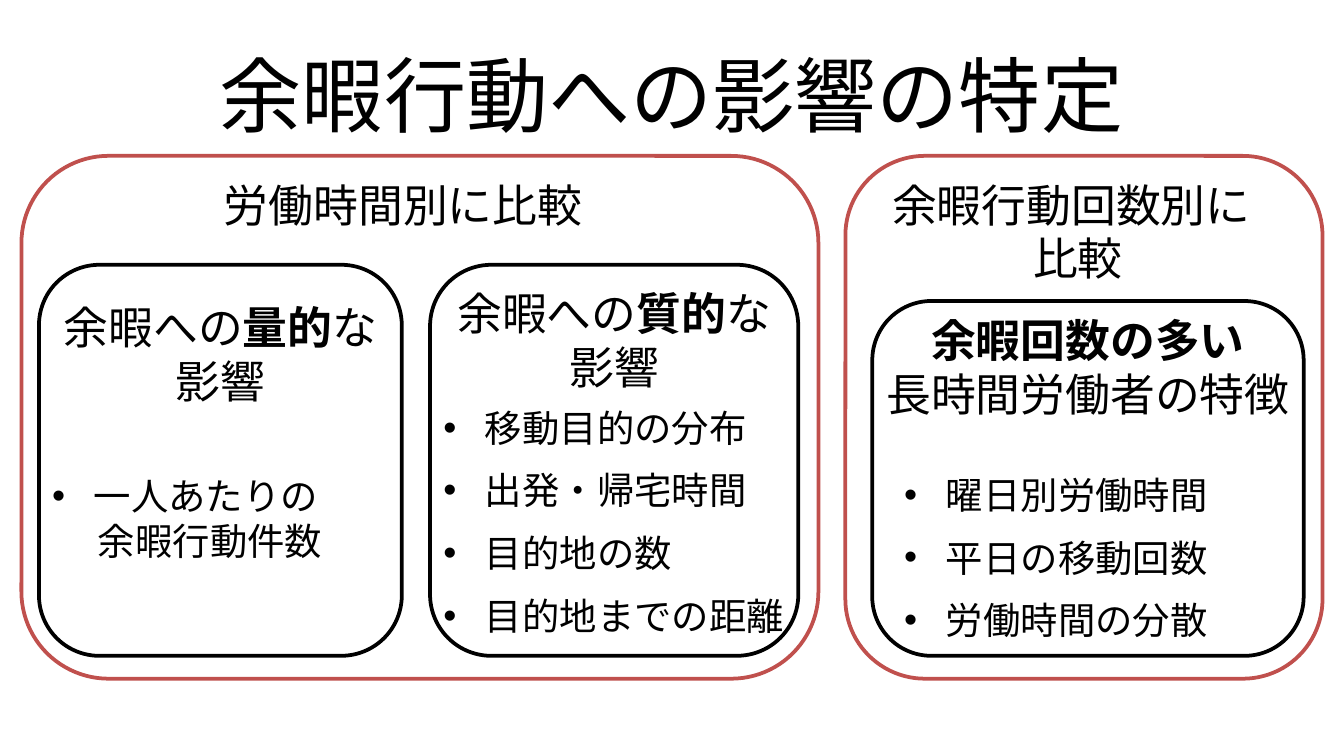
from lxml.etree import SubElement
from pptx import Presentation
from pptx.dml.color import RGBColor
from pptx.enum.lang import MSO_LANGUAGE_ID
from pptx.enum.shapes import MSO_SHAPE
from pptx.enum.text import MSO_ANCHOR, PP_ALIGN
from pptx.oxml.ns import qn
from pptx.util import Inches, Pt

BLACK = RGBColor(0x00, 0x00, 0x00)
WHITE = RGBColor(0xFF, 0xFF, 0xFF)
RED = RGBColor(0xC0, 0x50, 0x4D)
FONT = "Calibri"
BULLET_INDENT = 0.31
CENTER, LEFT = PP_ALIGN.CENTER, PP_ALIGN.LEFT


def add_frame(slide, box, line_color, fill_color=None):
    """Rounded outline, optionally filled."""
    shape = slide.shapes.add_shape(MSO_SHAPE.ROUNDED_RECTANGLE, *map(Inches, box))
    shape.shadow.inherit = False
    shape.line.color.rgb = line_color
    shape.line.width = Pt(2)
    if fill_color is None:
        shape.fill.background()
    else:
        shape.fill.solid()
        shape.fill.fore_color.rgb = fill_color


def format_run(run, size, bold):
    run.font.name = FONT
    run.font.size = Pt(size)
    run.font.bold = bold
    run.font.color.rgb = BLACK
    run.font.language_id = MSO_LANGUAGE_ID.JAPANESE
    # East Asian characters use the same typeface
    SubElement(run._r.get_or_add_rPr(), qn("a:ea")).set("typeface", FONT)


def add_text(slide, box, lines, size, alignments=None):
    """Text box; each line is a list of (text, bold) runs."""
    text_frame = slide.shapes.add_textbox(*map(Inches, box)).text_frame
    text_frame.word_wrap = True
    alignments = alignments or [CENTER] * len(lines)
    for index, (line, alignment) in enumerate(zip(lines, alignments)):
        paragraph = text_frame.paragraphs[0] if index == 0 else text_frame.add_paragraph()
        paragraph.alignment = alignment
        for text, bold in line:
            run = paragraph.add_run()
            run.text = text
            format_run(run, size, bold)
    return text_frame


def plain(*texts):
    return [[(text, False)] for text in texts]


def set_indent(paragraph, margin, first_line=0):
    properties = paragraph._p.get_or_add_pPr()
    properties.set("marL", str(Inches(margin)))
    properties.set("indent", str(Inches(first_line)))
    return properties


def add_bullet(paragraph):
    properties = set_indent(paragraph, BULLET_INDENT, -BULLET_INDENT)
    color = SubElement(properties, qn("a:buClr"))
    SubElement(color, qn("a:srgbClr")).set("val", str(BLACK))
    SubElement(properties, qn("a:buFont")).set("typeface", "Arial")
    SubElement(properties, qn("a:buChar")).set("char", "•")


def add_bullet_list(slide, box, items, spacing=1.4):
    text_frame = add_text(slide, box, plain(*items), 20, [LEFT] * len(items))
    for paragraph in text_frame.paragraphs:
        paragraph.line_spacing = spacing
        add_bullet(paragraph)


def add_title(slide, box):
    text_frame = add_text(slide, box, plain("余暇行動への影響の特定"), 44)
    text_frame.vertical_anchor = MSO_ANCHOR.MIDDLE


def add_card(slide, box, heading, heading_offset):
    """Black inner card with a two-line heading."""
    left, top, width, _ = box
    add_frame(slide, box, BLACK, WHITE)
    add_text(slide, (left, top + heading_offset, width, 0.91), heading, 24)


def impact_heading(kind):
    return [[("余暇への", False), (kind, True), ("な", False)], [("影響", False)]]


def add_quantity_card(slide, box):
    left, top, width, _ = box
    add_card(slide, box, impact_heading("量的"), 0.21)
    # One bullet whose second line is indented slightly further
    lines = plain("一人あたりの", "余暇行動件数")
    text_frame = add_text(slide, (left, top + 1.5, width, 1.11), lines, 20, [LEFT] * 2)
    first, second = text_frame.paragraphs
    add_bullet(first)
    set_indent(second, BULLET_INDENT + 0.03)


def add_quality_card(slide, box):
    left, top, width, _ = box
    add_card(slide, box, impact_heading("質的"), 0.11)
    add_bullet_list(slide, (left, top + 0.86, width + 0.35, 2.32),
                    ["移動目的の分布", "出発・帰宅時間", "目的地の数", "目的地までの距離"])


def add_feature_card(slide, box):
    left, top, _, _ = box
    heading = [[("余暇回数の多い", True)], [("長時間労働者の特徴", False)]]
    add_card(slide, box, heading, 0.04)
    add_bullet_list(slide, (left + 0.14, top + 1.09, 2.74, 1.49),
                    ["曜日別労働時間", "平日の移動回数", "労働時間の分散"])


def add_working_hours_panel(slide, box):
    """Left panel: comparison by working hours."""
    left, top, _, _ = box
    add_frame(slide, box, RED)
    add_text(slide, (left + 0.47, top + 0.11, 4.74, 0.5), plain("労働時間別に比較"), 24)
    add_quantity_card(slide, (left + 0.13, top + 0.81, 2.7, 2.91))
    add_quality_card(slide, (left + 3.04, top + 0.81, 2.74, 2.91))


def add_leisure_count_panel(slide, box):
    """Right panel: comparison by number of leisure activities."""
    left, top, _, _ = box
    add_frame(slide, box, RED)
    add_text(slide, (left + 0.25, top + 0.11, 2.96, 0.91),
             plain("余暇行動回数別に", "比較"), 24, [LEFT, CENTER])
    add_feature_card(slide, (left + 0.2, top + 1.08, 3.21, 2.64))


def main():
    presentation = Presentation()
    # Widescreen, 16:9
    presentation.slide_width = Inches(10)
    presentation.slide_height = Inches(10 * 9 / 16)
    slide = presentation.slides.add_slide(presentation.slide_layouts[6])
    add_title(slide, (0.5, 0.23, 9, 0.94))
    add_working_hours_panel(slide, (0.16, 1.16, 5.93, 3.89))
    add_leisure_count_panel(slide, (6.29, 1.16, 3.55, 3.89))
    presentation.save("out.pptx")


if __name__ == "__main__":
    main()
